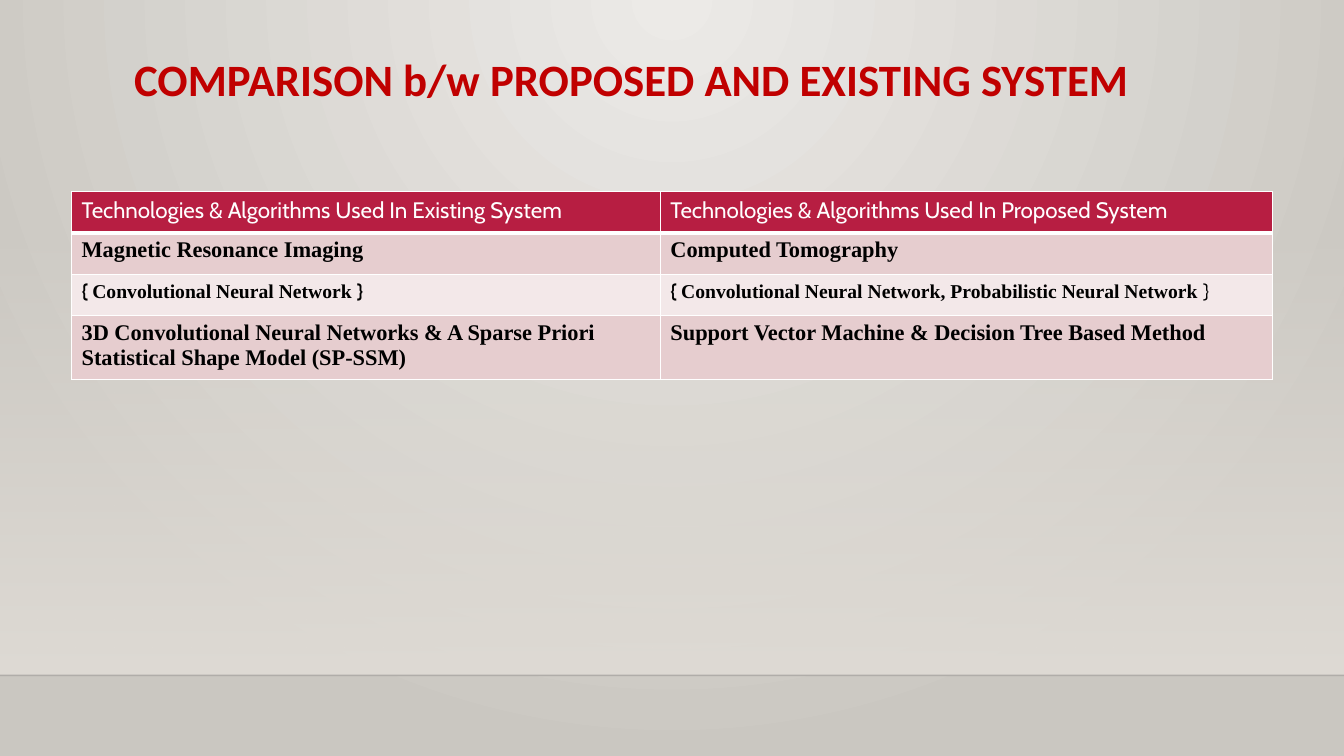
"""Build a slide that compares the existing and the proposed system in a table."""
import dataclasses
import typing

import lxml.etree
import pptx
import pptx.dml.color
import pptx.enum.shapes
import pptx.enum.text
import pptx.oxml.ns
import pptx.util

Inches = pptx.util.Inches
Pt = pptx.util.Pt
qn = pptx.oxml.ns.qn
SERIF = "Times New Roman"
SANS = "Cabin"


@dataclasses.dataclass
class Run:
    text: str
    face: str = SERIF
    size: int = 16
    bold: bool = True
    ink: str = "000000"


@dataclasses.dataclass
class Row:
    cells: list[list[Run]]
    fill: str
    high: float = 0.41
    base: int = 1


@dataclasses.dataclass
class Stop:
    pos: int
    ink: str
    alpha: int = 100


def head(text: str) -> list[Run]:
    return [Run(text, SANS, bold=False, ink="FFFFFF")]


def brace(text: str, bold: bool) -> list[Run]:
    return [Run("{ ", SANS, 14), Run(text, size=14), Run("}", SANS, 14, bold)]


ROWS = [
    Row([head("Technologies & Algorithms Used In Existing System"),
         head("Technologies & Algorithms Used In Proposed System")], "B71E42", base=3),
    Row([[Run("Magnetic Resonance Imaging")], [Run("Computed Tomography")]], "E6CDCF"),
    Row([brace("Convolutional Neural Network ", True),
         brace("Convolutional Neural Network, Probabilistic Neural Network ", False)], "F3E8E9"),
    Row([[Run("3D Convolutional Neural Networks & A Sparse Priori Statistical Shape Model (SP-SSM)")],
         [Run("Support Vector Machine & Decision Tree Based Method")]], "E6CDCF", 0.62),
]
WIDTHS = [5.84, 6.07]


def rgb(ink: str) -> pptx.dml.color.RGBColor:
    return pptx.dml.color.RGBColor.from_string(ink)


def sub(node: typing.Any, tag: str, **attrs: typing.Any) -> typing.Any:
    return lxml.etree.SubElement(node, qn(tag), {key: str(val) for key, val in attrs.items()})


def tint(node: typing.Any, ink: str, alpha: int = 100) -> None:
    color = sub(node, "a:srgbClr", val=ink)
    if alpha < 100:
        sub(color, "a:alpha", val=alpha * 1000)


def blend(fill: typing.Any, root: typing.Any, stops: list[Stop]) -> typing.Any:
    fill.gradient()
    grad = root.find(".//" + qn("a:gradFill"))
    for child in list(grad):
        grad.remove(child)
    group = sub(grad, "a:gsLst")
    for stop in stops:
        tint(sub(group, "a:gs", pos=stop.pos * 1000), stop.ink, stop.alpha)
    return grad


def write(para: typing.Any, runs: list[Run]) -> None:
    for item in runs:
        run = para.add_run()
        run.text = item.text
        style = {"name": item.face, "size": Pt(item.size), "bold": item.bold}
        for key, val in style.items():
            setattr(run.font, key, val)
        run.font.color.rgb = rgb(item.ink)


def edge(cell: typing.Any, base: int) -> None:
    props = cell._tc.get_or_add_tcPr()
    for side, wide in {"L": 1, "R": 1, "T": 1, "B": base}.items():
        line = sub(props, "a:ln" + side, w=Pt(wide))
        tint(sub(line, "a:solidFill"), "FFFFFF")


def scene(slide: typing.Any) -> None:
    grad = blend(slide.background.fill, slide.element, [Stop(0, "ECEAE7"), Stop(100, "CAC7C1")])
    focus = sub(grad, "a:path", path="circle")
    sub(focus, "a:fillToRect", l=43000, t=0, r=43000, b=100000)
    haze = slide.shapes.add_shape(pptx.enum.shapes.MSO_SHAPE.RECTANGLE, Inches(0), Inches(2.21),
                                  Inches(13.33), Inches(4.49))
    haze.shadow.inherit = False
    haze.line.fill.background()
    grad = blend(haze.fill, haze.element, [Stop(0, "DFDBD5", 0), Stop(100, "DFDBD5")])
    sub(grad, "a:lin", ang=5400000, scaled=0)
    floor = slide.shapes.add_connector(pptx.enum.shapes.MSO_CONNECTOR.STRAIGHT, Inches(0), Inches(6.7),
                                       Inches(13.33), Inches(6.7))
    floor.line.width = Pt(1)
    floor.line.color.rgb = rgb("000001")
    sub(floor.element.find(".//" + qn("a:srgbClr")), "a:alpha", val=20000)
    sub(floor.element.spPr, "a:effectLst")


def title(shape: typing.Any) -> None:
    place = {"left": 1.23, "top": 0.46, "width": 10.51, "height": 0.64}
    for key, val in place.items():
        setattr(shape, key, Inches(val))
    frame = shape.text_frame
    style = {"word_wrap": True, "vertical_anchor": pptx.enum.text.MSO_ANCHOR.TOP,
             "auto_size": pptx.enum.text.MSO_AUTO_SIZE.SHAPE_TO_FIT_TEXT}
    for key, val in style.items():
        setattr(frame, key, val)
    para = frame.paragraphs[0]
    para.alignment = pptx.enum.text.PP_ALIGN.LEFT
    write(para, [Run("COMPARISON b/w PROPOSED AND EXISTING SYSTEM", "Calibri", 32, ink="C00000")])


def grid(slide: typing.Any) -> None:
    table = slide.shapes.add_table(len(ROWS), len(WIDTHS), Inches(0.71), Inches(1.9),
                                   Inches(sum(WIDTHS)), Inches(sum(row.high for row in ROWS))).table
    for col, wide in zip(table.columns, WIDTHS):
        col.width = Inches(wide)
    for line, row in zip(table.rows, ROWS):
        line.height = Inches(row.high)
        for cell, runs in zip(line.cells, row.cells):
            edge(cell, row.base)
            cell.fill.solid()
            cell.fill.fore_color.rgb = rgb(row.fill)
            write(cell.text_frame.paragraphs[0], runs)


def main() -> None:
    deck = pptx.Presentation()
    deck.slide_width, deck.slide_height = Inches(13.33), Inches(7.5)
    slide = deck.slides.add_slide(deck.slide_layouts[5])
    scene(slide)
    title(slide.shapes.title)
    grid(slide)
    deck.save("out.pptx")


if __name__ == "__main__":
    main()
